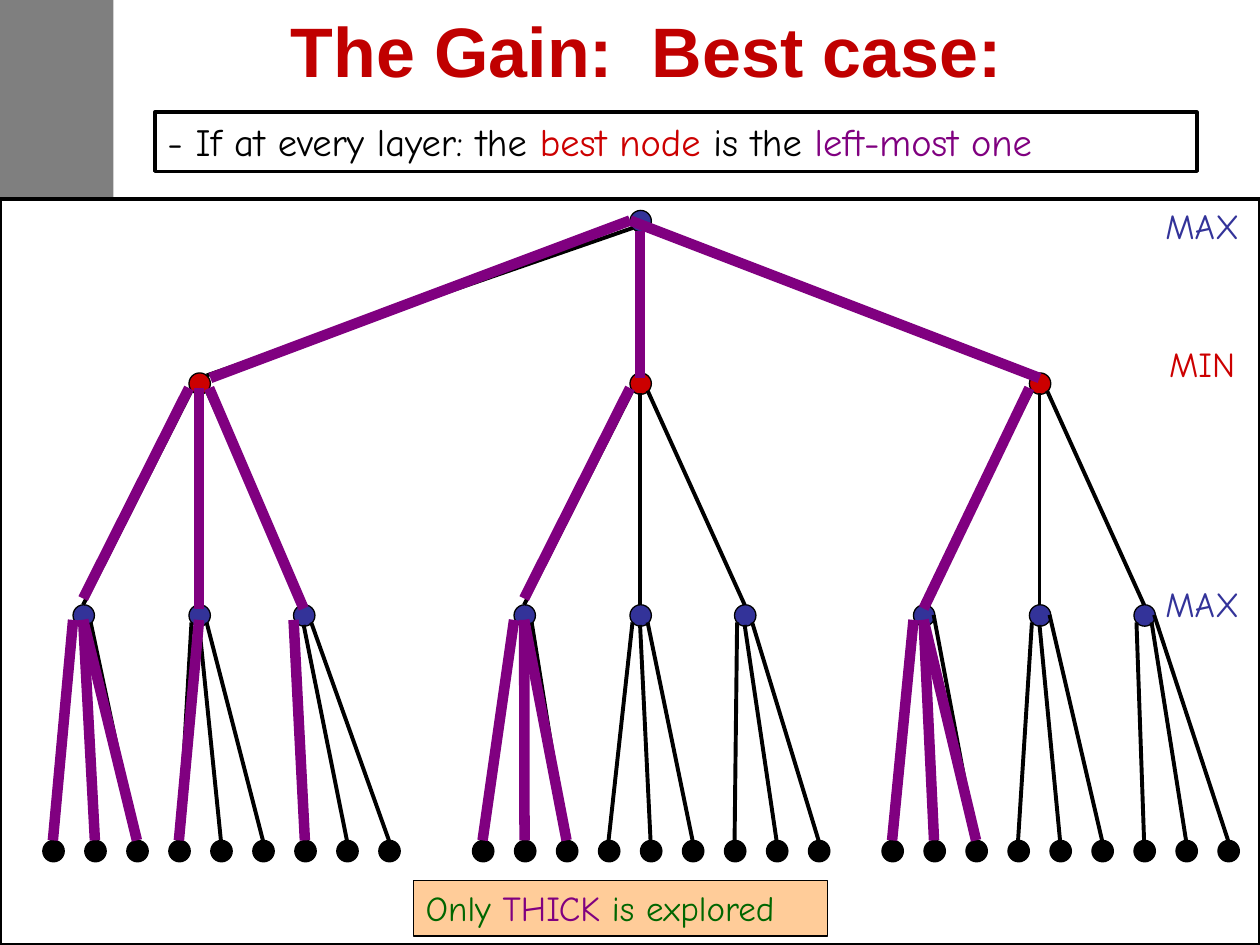
"""Build the best-case alpha-beta pruning slide."""
from lxml import etree
from pptx import Presentation
from pptx import util as u
from pptx.dml.color import RGBColor
from pptx.enum import shapes, text
from pptx.oxml.ns import qn

BLACK = RGBColor(0x00, 0x00, 0x00)
WHITE = RGBColor(0xFF, 0xFF, 0xFF)
BLUE = RGBColor(0x33, 0x33, 0x99)
RED = RGBColor(0xCC, 0x00, 0x00)
TITLE_RED = RGBColor(0xC0, 0x00, 0x00)
PURPLE = RGBColor(0x80, 0x00, 0x80)
GREEN = RGBColor(0x00, 0x66, 0x00)
PEACH = RGBColor(0xFF, 0xCC, 0x99)

RADIUS = 0.08
ROOT_X = 5.08
ROOT_Y, MIN_Y, MAX_Y, LEAF_Y = 1.75, 3.04, 4.88, 6.75
MIN_XS = (1.58, 5.08, 8.25)
CHILD_OFFSETS = (-0.92, 0, 0.83)
LEAF_STARTS = (0.42, 3.83, 7.08)
EXPLORED_LEAVES = ((3, 1, 1), (3, 0, 0), (3, 0, 0))
LEFT, MIDDLE, RIGHT, SIDE = (-0.06, 0.06), (0, 0.08), (0.06, 0.06), (0.08, 0)


class TreeSlide:
    """Hold the style and the current slide."""

    font = "Comic Neue"

    def __init__(self, prs):
        self.s = prs.slides.add_slide(prs.slide_layouts[5])

    def title(self, box, content):
        sp = self.s.shapes.title
        for name, value in zip(("left", "top", "width", "height"), box):
            setattr(sp, name, u.Inches(value))
        tf = sp.text_frame
        tf.vertical_anchor = text.MSO_ANCHOR.MIDDLE
        p = tf.paragraphs[0]
        p.alignment = text.PP_ALIGN.CENTER
        self.add_run(p, content, TITLE_RED, {"name": "Arial", "size": u.Pt(40), "bold": True})

    def add_run(self, p, content, color, fmt):
        r = p.add_run()
        r.text = content
        for name, value in fmt.items():
            setattr(r.font, name, value)
        r.font.color.rgb = color

    def fill_text(self, sp, runs, size, wrap):
        tf = sp.text_frame
        fmt = {"word_wrap": wrap, "vertical_anchor": text.MSO_ANCHOR.TOP,
               "auto_size": text.MSO_AUTO_SIZE.SHAPE_TO_FIT_TEXT}
        for name, value in fmt.items():
            setattr(tf, name, value)
        p = tf.paragraphs[0]
        p.alignment = text.PP_ALIGN.LEFT
        for content, color in runs:
            self.add_run(p, content, color, {"name": self.font, "size": u.Pt(size)})

    def shape(self, box, fill, width=0, kind=shapes.MSO_SHAPE.RECTANGLE):
        sp = self.s.shapes.add_shape(kind, *map(u.Inches, box))
        sp.shadow.inherit = False
        sp.fill.solid()
        sp.fill.fore_color.rgb = fill
        if width:
            sp.line.color.rgb = BLACK
            sp.line.width = u.Pt(width)
        else:
            sp.line.fill.background()
        return sp

    def sidebar(self, box, opacity):
        sp = self.shape(box, BLACK)
        color = sp._element.spPr.find(qn("a:solidFill")).find(qn("a:srgbClr"))
        etree.SubElement(color, qn("a:alpha")).set("val", str(opacity * 1000))

    def node(self, x, y, fill):
        box = (x - RADIUS, y - RADIUS, 2 * RADIUS + 0.01, 2 * RADIUS + 0.01)
        self.shape(box, fill, 0.75, shapes.MSO_SHAPE.OVAL)

    def label(self, box, content, color):
        sp = self.s.shapes.add_textbox(*map(u.Inches, box))
        self.fill_text(sp, [(content, color)], 20, False)

    def note(self, box, fill, width, runs, size, wrap):
        self.fill_text(self.shape(box, fill, width), runs, size, wrap)

    def line(self, x1, y1, x2, y2, color=BLACK, width=2.25):
        c = self.s.shapes.add_connector(
            shapes.MSO_CONNECTOR.STRAIGHT, *map(u.Inches, (x1, y1, x2, y2)))
        c.line.color.rgb = color
        c.line.width = u.Pt(width)
        etree.SubElement(c._element.spPr, qn("a:effectLst"))

    def thick(self, *ends):
        self.line(*ends, PURPLE, 6)


def leaf_x(tree, child, leaf):
    """Return the centre of a leaf."""
    return LEAF_STARTS[tree] + (3 * child + leaf) / 3


def leaf_exits(tree, child):
    """Return where the three thin lines leave a MAX node."""
    if tree < 2:
        return LEFT, MIDDLE, RIGHT
    return LEFT, RIGHT if child == 2 else MIDDLE, SIDE


def draw_nodes(slide):
    """Draw the nodes of all four layers."""
    slide.node(ROOT_X, ROOT_Y, BLUE)
    for tree, x in enumerate(MIN_XS):
        slide.node(x, MIN_Y, RED)
        for child, dx in enumerate(CHILD_OFFSETS):
            slide.node(x + dx, MAX_Y, BLUE)
            for leaf in range(3):
                slide.node(leaf_x(tree, child, leaf), LEAF_Y, BLACK)


def draw_branches(slide):
    """Draw every branch as a thin line."""
    entries = ((0.06, -0.06), (0, -0.08), (-0.06, -0.06))
    exits = (LEFT, MIDDLE, RIGHT)
    for tree, x in enumerate(MIN_XS):
        (ox, oy), (ix, iy) = exits[tree], entries[tree]
        slide.line(ROOT_X + ox, ROOT_Y + oy, x + ix, MIN_Y + iy)
        for child, dx in enumerate(CHILD_OFFSETS):
            ox, oy = exits[child]
            slide.line(x + ox, MIN_Y + oy, x + dx, MAX_Y - RADIUS)
            for leaf, (ox, oy) in enumerate(leaf_exits(tree, child)):
                slide.line(x + dx + ox, MAX_Y + oy,
                           leaf_x(tree, child, leaf), LEAF_Y - RADIUS)


def draw_explored(slide):
    """Draw the explored branches as thick lines."""
    for start, end in (((5, 1.75), 1.67), ((5.08, 1.83), 5.08), ((5, 1.75), 8.25)):
        slide.thick(*start, end, 3)
    for tree, x in enumerate(MIN_XS):
        for child, count in enumerate(EXPLORED_LEAVES[tree]):
            if not count:
                continue
            max_x = x + CHILD_OFFSETS[child]
            end_y = 4.75 if child == 0 and tree < 2 else 4.83
            slide.thick(x + (child - 1) * RADIUS, 3.08, max_x, end_y)
            for leaf in range(count):
                shift = RADIUS if leaf == 0 and child != 1 else 0
                slide.thick(max_x - shift, 4.92, leaf_x(tree, child, leaf), 6.67)


def main():
    """Build and save the slide."""
    prs = Presentation()
    prs.slide_width, prs.slide_height = u.Inches(10), u.Inches(7.5)
    slide = TreeSlide(prs)
    slide.sidebar((0, 0, 0.9, 7.5), 50)
    slide.title((1.17, 0.06, 7.92, 0.67), "The Gain:  Best case:")
    slide.shape((0, 1.58, 10, 5.92), WHITE, 2.25)
    draw_nodes(slide)
    draw_branches(slide)
    slide.label((9.15, 1.57, 0.85, 0.43), "MAX", BLUE)
    slide.label((9.18, 2.67, 0.82, 0.43), "MIN", RED)
    slide.label((9.15, 4.57, 0.85, 0.43), "MAX", BLUE)
    slide.note((1.23, 0.89, 8.27, 0.47), WHITE, 2,
               [("- If at every layer: the ", BLACK), ("best node", RED),
                (" is the ", BLACK), ("left-most one", PURPLE)], 22, True)
    draw_explored(slide)
    slide.note((3.28, 6.99, 3.29, 0.44), PEACH, 0.75,
               [("Only ", GREEN), ("THICK", PURPLE), (" is explored", GREEN)], 20, False)
    prs.save("out.pptx")


if __name__ == "__main__":
    main()
